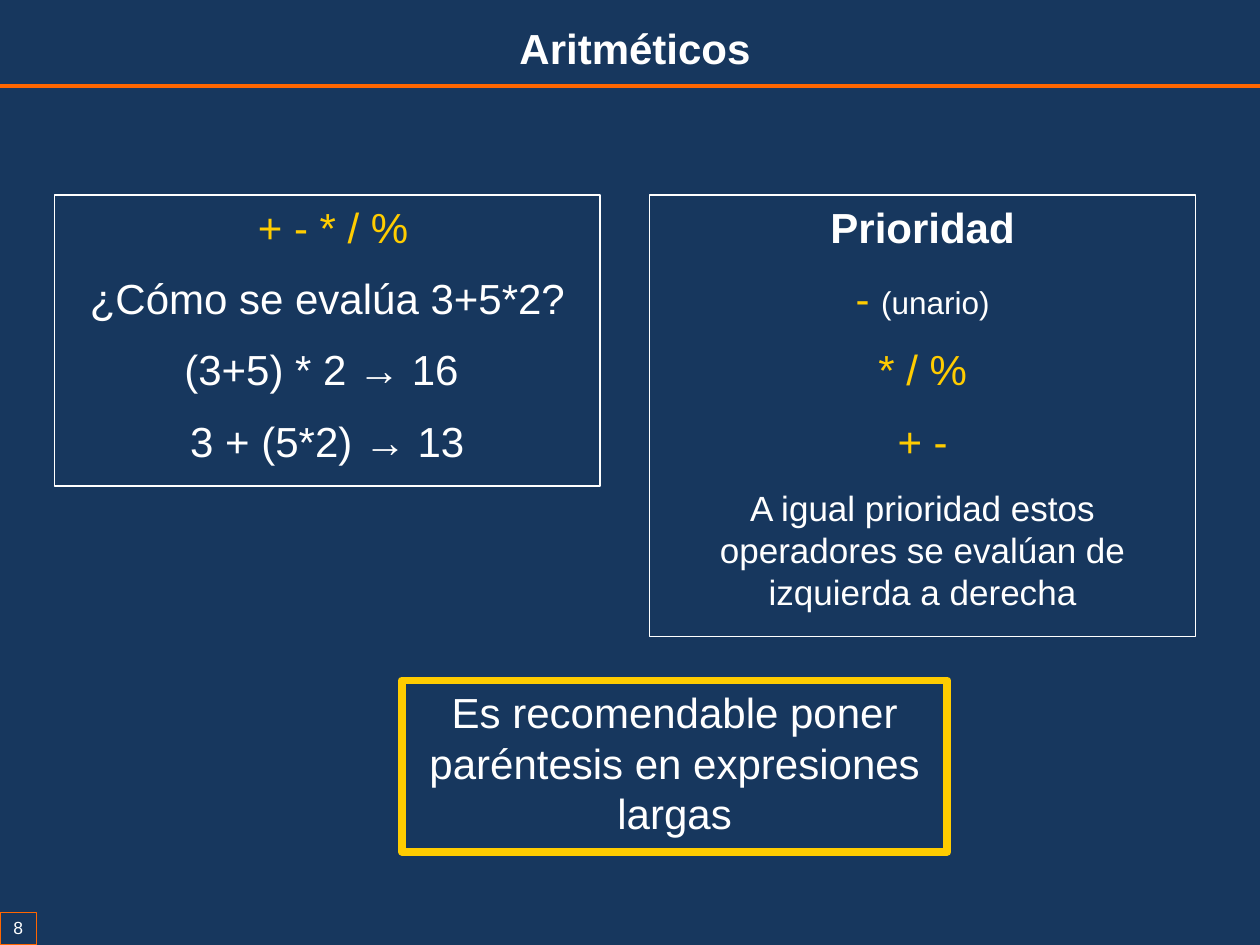
from lxml import etree
from pptx import Presentation
from pptx.dml.color import RGBColor
from pptx.enum.shapes import MSO_CONNECTOR, MSO_SHAPE
from pptx.enum.text import MSO_ANCHOR, MSO_AUTO_SIZE, PP_ALIGN
from pptx.oxml.ns import qn
from pptx.util import Cm, Pt

RECT = MSO_SHAPE.RECTANGLE
STRAIGHT = MSO_CONNECTOR.STRAIGHT
CENTER = PP_ALIGN.CENTER
TOP = MSO_ANCHOR.TOP
NO_FIT = MSO_AUTO_SIZE.NONE

FONT = "Arial"
COLORS = {"bg": "17375E", "orange": "FF6600", "yellow": "FFCC00", "white": "FFFFFF"}
WIDTH, HEIGHT = 25.4, 19.05  # cm


def rgb(name):
    return RGBColor.from_string(COLORS[name])


def add_run(p, text, color="white", size=24, bold=False):
    r = p.add_run()
    r.text = text
    r.font.name = FONT
    r.font.size = Pt(size)
    r.font.bold = bold
    r.font.color.rgb = rgb(color)


def write_paragraphs(tf, paragraphs):
    """Each paragraph is a list of (text, color, size, bold) runs."""
    for i, runs in enumerate(paragraphs):
        p = tf.paragraphs[0] if i == 0 else tf.add_paragraph()
        p.alignment = CENTER
        p.space_before = Pt(0)
        if i < len(paragraphs) - 1:
            p.space_after = Pt(12)
        for run in runs:
            add_run(p, *run)


def add_frame(slide, box, line_color, line_width, paragraphs):
    """Unfilled outlined rectangle with centred text starting at its top."""
    sp = slide.shapes.add_shape(RECT, *map(Cm, box))
    sp.shadow.inherit = False
    sp.fill.background()
    sp.line.color.rgb = rgb(line_color)
    sp.line.width = Pt(line_width)
    tf = sp.text_frame
    tf.word_wrap = True
    tf.vertical_anchor = TOP
    write_paragraphs(tf, paragraphs)
    return sp


def add_header(slide, box):
    left, top, width, height = box
    # Title
    title = slide.shapes.title
    title.left, title.top = Cm(left + 3.3), Cm(top + 0.33)
    title.width, title.height = Cm(19), Cm(1.27)
    tf = title.text_frame
    tf.auto_size = NO_FIT
    tf.vertical_anchor = TOP
    write_paragraphs(tf, [[("Aritméticos", "white", 24, True)]])
    # Rule under the title
    y = Cm(top + height)
    rule = slide.shapes.add_connector(STRAIGHT, Cm(left), y, Cm(left + width), y)
    rule.line.color.rgb = rgb("orange")
    rule.line.width = Pt(2)
    etree.SubElement(rule._element.spPr, qn("a:effectLst"))


def add_page_number(slide, box):
    sp = add_frame(slide, box, "orange", 0.75, [[("8", "white", 10)]])
    tf = sp.text_frame
    tf.word_wrap = False
    tf.margin_left = tf.margin_right = Cm(0.05)
    tf.margin_top = tf.margin_bottom = Cm(0.1)


def add_evaluation(slide, box):
    add_frame(slide, box, "white", 0.75, [
        [(" + - * / %", "yellow")],
        [("¿Cómo se evalúa 3+5*2?",)],
        [("(3+5) * 2 → 16 ",)],
        [("3 + (5*2) → 13",)],
    ])


def add_priority(slide, box):
    add_frame(slide, box, "white", 0.75, [
        [("Prioridad", "white", 24, True)],
        [("- ", "yellow"), ("(unario)", "white", 18)],
        [("* / %", "yellow")],
        [("+ -", "yellow")],
        [("A igual prioridad estos operadores se evalúan de izquierda a derecha",
          "white", 20)],
    ])


def add_advice(slide, box):
    add_frame(slide, box, "yellow", 4.5, [
        [("Es recomendable poner paréntesis en expresiones largas",)],
    ])


def main():
    prs = Presentation()
    prs.slide_width, prs.slide_height = Cm(WIDTH), Cm(HEIGHT)
    slide = prs.slides.add_slide(prs.slide_layouts[5])
    slide.background.fill.solid()
    slide.background.fill.fore_color.rgb = rgb("bg")

    panel_w, panel_top = 11, 3.93
    add_header(slide, (0, 0, WIDTH, 1.73))
    add_page_number(slide, (0, HEIGHT - 0.66, 0.74, 0.66))
    add_evaluation(slide, (1.1, panel_top, panel_w, 5.87))
    add_priority(slide, (13.1, panel_top, panel_w, 8.91))
    add_advice(slide, (8.1, 13.72, panel_w, 3.45))

    prs.save("out.pptx")


if __name__ == "__main__":
    main()
